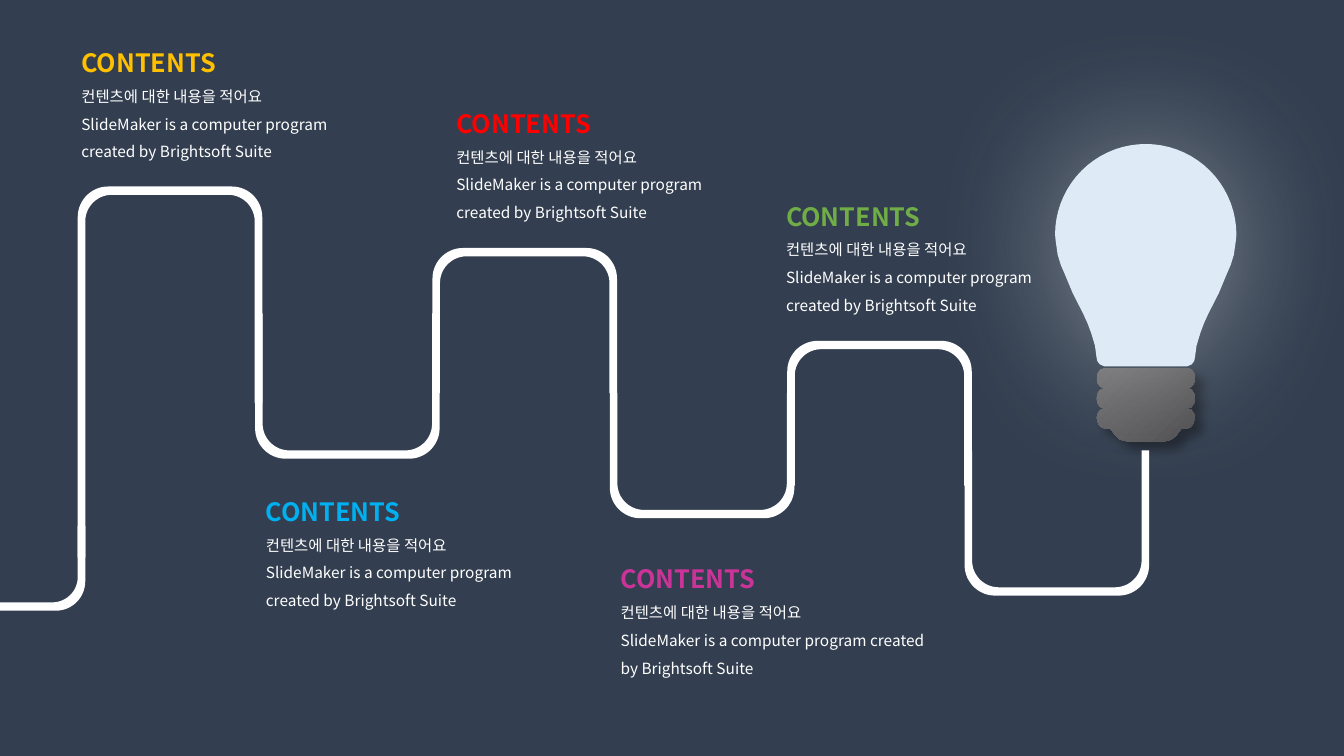
"""Builds a dark contents slide with a winding cable that leads to a light bulb."""
from math import cos, pi, sin

from lxml import etree
from pptx import Presentation
from pptx import util as u
from pptx.dml.color import RGBColor
from pptx.enum import text
from pptx.oxml.ns import qn

FONT = "Noto Sans CJK KR"
INK = {
    "back": "333F50", "white": "FFFFFF", "black": "000000", "glass": "DEEBF7",
    "light": "6E6E70", "dark": "4E4E50", "gold": "FFC000", "blue": "00B0F0",
    "red": "FF0000", "pink": "CC3399", "green": "70AD47",
}
LINES = [
    "컨텐츠에 대한 내용을 적어요",
    "SlideMaker is a computer program created by Brightsoft Suite",
]
LEG, BAR = 0.19, 0.21
STEP, SPAN = 4.47, 4.65
ARCHES = [
    (4.7, 14.05, 10.16, 1), (11.56, 7.9, 7.9, -1), (6.25, 9.91, 9.91, 1),
    (13.06, 9.91, 9.91, -1), (8.59, 12.24, 12.24, 1), (15.01, 11.35, 11.35, -1),
]
NOTES = [
    ("gold", 1.8, 0.91, 7.92), ("blue", 6.45, 12.22, 7.92),
    ("red", 11.25, 2.44, 7.92), ("pink", 15.39, 13.92, 8.36),
    ("green", 19.56, 4.78, 7.01),
]
NECK = [
    (2.27, 2.44), (2.22, 2.79), (2.14, 3.05), (2.04, 3.28), (1.84, 3.76),
    (1.58, 4.27), (1.47, 4.51), (1.38, 4.75), (1.28, 5.08), (1.24, 5.38),
    (1.22, 5.47), (1.16, 5.55), (1.05, 5.6),
]
FOOT = [
    (1.23, 1.27), (1.2, 1.4), (1.12, 1.49), (1.03, 1.52), (0.9, 1.52),
    (0.84, 1.6), (0.76, 1.7), (0.66, 1.79), (0.54, 1.83), (0.4, 1.85),
]


def rgb(name):
    """Return the named colour."""
    return RGBColor.from_string(INK[name])


def outline(slide, spots):
    """Draw a closed outline through spots given in centimetres."""
    spots = [(u.Cm(x), u.Cm(y)) for x, y in spots]
    pen = slide.shapes.build_freeform(*spots[0])
    pen.add_line_segments(spots[1:], close=True)
    shape = pen.convert_to_shape()
    shape.shadow.inherit = False
    shape.fill.solid()
    shape.fill.fore_color.rgb = rgb("white")
    shape.line.fill.background()
    return shape


def edge(x, y, wide, ends, way, r):
    """Return one side of a cable bend, which may lack its left leg."""
    left, right = ends
    turns = [(x + wide - r, 90)]
    start = (x, y)
    if left is not None:
        turns.insert(0, (x + r, 0))
        start = (x, left)
    arcs = [
        (mid - r * cos(pi * a / 180), y + way * r * (1 - sin(pi * a / 180)))
        for mid, first in turns for a in range(first, first + 91, 6)
    ]
    return [start, *arcs, (x + wide, right)]


def bend(slide, x, y, wide, ends, way, r):
    """Draw a cable bend; way is 1 for an arch and -1 for a bowl."""
    inset = 0 if ends[0] is None else LEG
    inner = edge(x + inset, y + way * BAR, wide - inset - LEG, ends, way, r - 0.1)
    outline(slide, edge(x, y, wide, ends, way, r) + inner[::-1])


def cable(slide, x):
    """Draw the whole cable, with the first arch at x."""
    bend(slide, 0, 15.39, x + LEG, (None, 13.26), -1, 0.74)
    for i, (y, left, right, way) in enumerate(ARCHES):
        bend(slide, x + i * STEP, y, SPAN, (left, right), way, 0.77)


def mirror(mid, top, half):
    """Return a symmetric outline from its right half."""
    return ([(mid + x, top + y) for x, y in half]
            + [(mid - x, top + y) for x, y in half[::-1]])


def shade(shape, name, blur, gap, turn):
    """Give a shape a soft outer shadow, in points and degrees."""
    fx = shape._element.spPr.find(qn("a:effectLst"))
    cast = etree.SubElement(
        fx, qn("a:outerShdw"), blurRad=str(u.Pt(blur)), dist=str(u.Pt(gap)),
        dir=str(turn * 60000), algn="ctr", rotWithShape="0")
    tint = etree.SubElement(cast, qn("a:srgbClr"), val=INK[name])
    etree.SubElement(tint, qn("a:alpha"), val="40000")


def bulb(slide, x, y, wide):
    """Draw the glowing bulb and its screw base."""
    r = wide / 2
    mid = x + r
    lobes = [
        (1.07 + 0.17 * sin(a * pi / 6), 0.51 * i + 0.25 * (1 - cos(a * pi / 6)))
        for i in range(3) for a in range(7 if i < 2 else 4)
    ]
    base = outline(slide, mirror(mid, y + 5.65, lobes + FOOT))
    base.fill.gradient()
    base.fill.gradient_angle = 315
    for stop, name in zip(base.fill.gradient_stops, ("light", "dark")):
        stop.color.rgb = rgb(name)
    shade(base, "black", 8, 8, 45)
    dome = [(r * sin(a * pi / 180), r * (1 - cos(a * pi / 180)))
            for a in range(0, 91, 5)]
    glass = outline(slide, mirror(mid, y, dome + NECK))
    glass.fill.fore_color.rgb = rgb("glass")
    shade(glass, "white", 100, 0, 0)


def note(slide, name, x, y, wide):
    """Place a coloured heading with its text below."""
    box = slide.shapes.add_textbox(u.Cm(x), u.Cm(y), u.Cm(wide), u.Cm(3.05))
    frame = box.text_frame
    frame.word_wrap = True
    frame.vertical_anchor = text.MSO_ANCHOR.MIDDLE
    frame.text = "\n".join(["CONTENTS", *LINES])
    for i, para in enumerate(frame.paragraphs):
        para.line_spacing = 1.5
        font = para.font
        font.name = FONT
        font.size = u.Pt(11 if i else 18)
        font.bold = i == 0
        font.color.rgb = rgb("white" if i else name)
        etree.SubElement(font._element, qn("a:ea"), typeface=FONT)


def main():
    """Build and save the slide."""
    deck = Presentation()
    deck.slide_width, deck.slide_height = u.Cm(33.87), u.Cm(19.05)
    slide = deck.slides.add_slide(deck.slide_layouts[6])
    slide.background.fill.solid()
    slide.background.fill.fore_color.rgb = rgb("back")
    bulb(slide, 26.59, 3.63, 4.57)
    cable(slide, 1.96)
    for item in NOTES:
        note(slide, *item)
    deck.save("out.pptx")


main()
